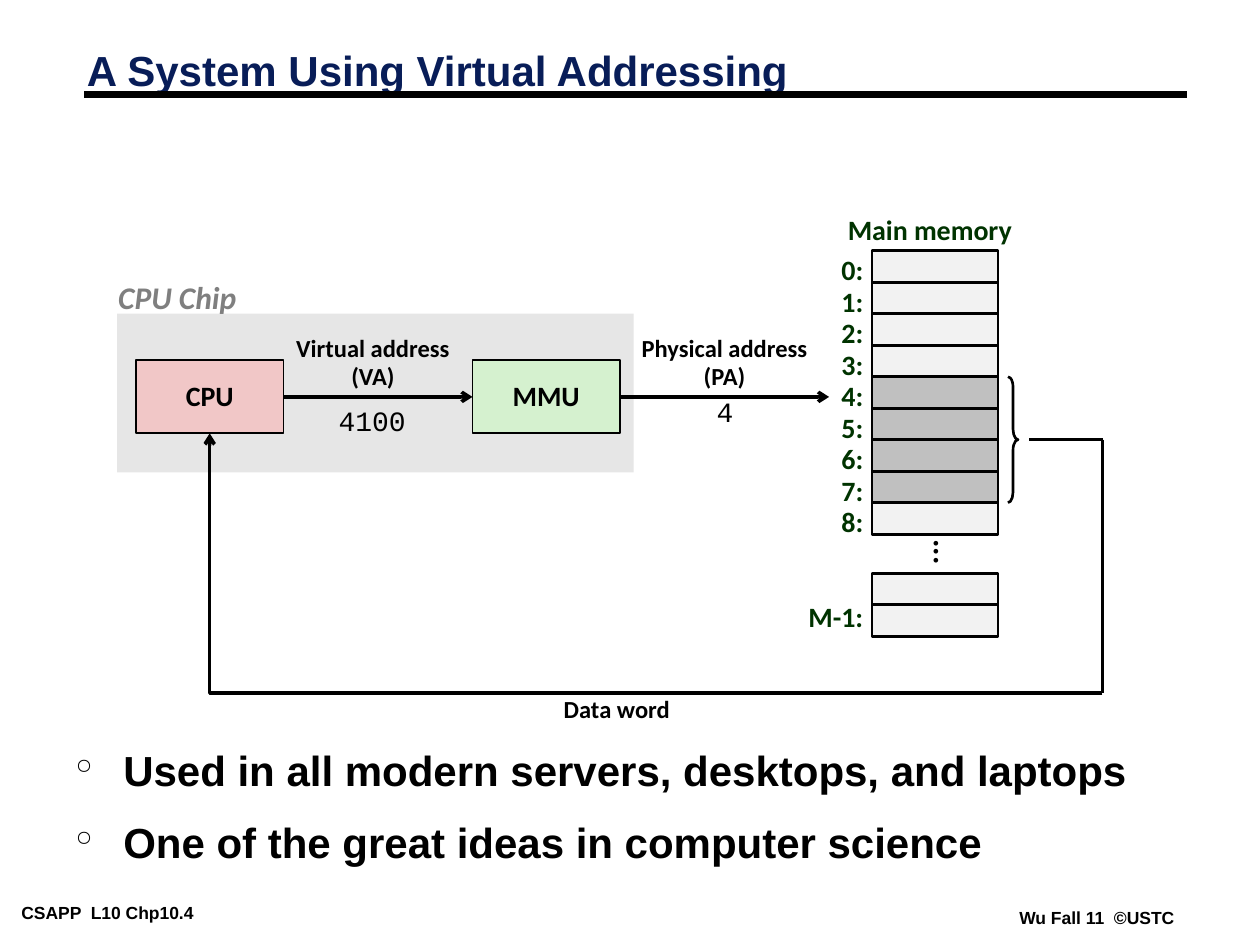
"""Build the slide on a system that uses virtual addressing."""
from lxml import etree
from pptx import Presentation
from pptx.dml.color import RGBColor
from pptx.enum.shapes import MSO_CONNECTOR as Conn, MSO_SHAPE as Shape
from pptx.enum.text import MSO_ANCHOR as Anchor, MSO_AUTO_SIZE as Auto, PP_ALIGN as Align
from pptx.oxml.ns import qn
from pptx.util import Inches, Pt

BLACK, GREEN, NAVY, GRAY = "000000", "003300", "081D58", "7F7F7F"
ROW, MEM_LEFT, MEM_TOP = 0.25, 6.92, 1.99
BOX_TOP, BOX_W, BOX_H = 2.86, 1.17, 0.58
BUS_X, BUS_Y = 8.75, 5.5


def color(hex_string):
    """Turn a hex string into a colour."""
    return RGBColor.from_string(hex_string)


def inches(*lengths):
    """Convert several lengths to inches."""
    return [Inches(length) for length in lengths]


def write(tf, text, size, hex_color=BLACK, font="Calibri", bold=True, italic=False,
          align=Align.LEFT, spacing=1.0):
    """Put text in a frame and format each run."""
    tf.text = text
    for p in tf.paragraphs:
        p.alignment = align
        p.line_spacing = spacing
        for r in p.runs:
            r.font.size, r.font.name = Pt(size), font
            r.font.bold, r.font.italic = bold, italic
            r.font.color.rgb = color(hex_color)


def add_label(s, at, text, size, anchor=Anchor.TOP, margins=(0.1, 0.05), **style):
    """Add a text box that fits its unwrapped text."""
    tf = s.shapes.add_textbox(*inches(*at)).text_frame
    write(tf, text, size, **style)
    tf.word_wrap, tf.auto_size, tf.vertical_anchor = False, Auto.SHAPE_TO_FIT_TEXT, anchor
    tf.margin_left = tf.margin_right = Inches(margins[0])
    tf.margin_top = tf.margin_bottom = Inches(margins[1])
    return tf


def add_box(s, at, fill=None, line=None, text=None, kind=Shape.RECTANGLE):
    """Add a flat shape, optionally outlined and captioned."""
    sp = s.shapes.add_shape(kind, *inches(*at))
    sp.shadow.inherit = False
    if fill:
        sp.fill.solid()
        sp.fill.fore_color.rgb = color(fill)
    else:
        sp.fill.background()
    if line:
        sp.line.color.rgb, sp.line.width = color(BLACK), Pt(line)
    else:
        sp.line.fill.background()
    if text:
        write(sp.text_frame, text, 16, align=Align.CENTER, spacing=0.98)
        sp.text_frame.vertical_anchor = Anchor.MIDDLE
        sp.text_frame.word_wrap = False
    return sp


def add_line(s, start, end, width=2, arrow=False, kind=Conn.STRAIGHT):
    """Add a black connector, optionally with an arrowhead at its end."""
    c = s.shapes.add_connector(kind, *inches(*start, *end))
    c.line.color.rgb, c.line.width = color(BLACK), Pt(width)
    if arrow:
        etree.SubElement(c.line._get_or_add_ln(), qn("a:tailEnd"), type="arrow")
    etree.SubElement(c._element.spPr, qn("a:effectLst"))
    return c


def add_title(s, text):
    """Place and format the title placeholder."""
    sp = s.shapes.title
    sp.left, sp.top, sp.width, sp.height = inches(0.59, 0.36, 9.53, 0.45)
    sp.text_frame.vertical_anchor = Anchor.MIDDLE
    write(sp.text_frame, text, 24, NAVY, "Arial", spacing=0.87)


def add_bullets(s, items):
    """Add the list of takeaways."""
    tf = s.shapes.add_textbox(*inches(0.5, 5.95, 9.09, 1.38)).text_frame
    tf.word_wrap = True
    write(tf, "\n".join(items), 24, font="Arial", spacing=0.75)
    for i, p in enumerate(tf.paragraphs):
        p.space_before = Pt(19.5 if i else 0)
        pPr = p._p.get_or_add_pPr()
        pPr.set("marL", str(Inches(0.38)))
        pPr.set("indent", str(-Inches(0.38)))
        bullet_color = etree.SubElement(pPr, qn("a:buClr"))
        etree.SubElement(bullet_color, qn("a:srgbClr"), val=BLACK)
        etree.SubElement(pPr, qn("a:buChar"), char="°")


def add_memory(s):
    """Draw the memory cells with their addresses and the word's brace."""
    address = dict(hex_color=GREEN, spacing=0.88)
    add_label(s, (6.63, 1.67, 1.5, 0.33), "Main memory", 16, align=Align.CENTER, **address)
    for i in range(9):
        top = MEM_TOP + i * ROW
        add_box(s, (MEM_LEFT, top, 1, ROW), "C0C0C0" if 4 <= i <= 7 else "F2F2F2", 1.5)
        add_label(s, (6.58, top, 0.37, 0.33), f"{i}:", 16, **address)
    for top in (4.55, 4.55 + ROW):
        add_box(s, (MEM_LEFT, top, 1, ROW), "F2F2F2", 1.5)
    add_label(s, (6.25, 4.74, 0.7, 0.33), "M-1:", 16, align=Align.RIGHT, **address)
    dots = add_label(s, (7, 4.18, 1, ROW), "...", 18, Anchor.MIDDLE, (0.05, 0.1),
                     align=Align.CENTER, spacing=0.98)
    dots.auto_size = Auto.NONE
    dots._txBody.bodyPr.set("vert", "eaVert")
    brace = add_box(s, (8, MEM_TOP + 4 * ROW, 0.08, 4 * ROW), line=1.5, kind=Shape.RIGHT_BRACE)
    brace.adjustments[0] = 1.04


def add_data_path(s):
    """Draw the chip, its units and the paths to and from memory."""
    cpu = add_box(s, (1.08, BOX_TOP, BOX_W, BOX_H), "F1C7C7", 1, "CPU")
    mmu = add_box(s, (3.75, BOX_TOP, BOX_W, BOX_H), "D5F1CF", 1, "MMU")
    middle = BOX_TOP + BOX_H / 2
    virtual = add_line(s, (2.25, middle), (3.75, middle), arrow=True)
    virtual.begin_connect(cpu, 3)
    virtual.end_connect(mmu, 1)
    physical = add_line(s, (4.92, middle), (6.58, middle), arrow=True)
    physical.begin_connect(mmu, 3)
    word_y = MEM_TOP + 6 * ROW
    add_line(s, (8.17, word_y), (BUS_X, word_y))
    add_line(s, (BUS_X, word_y), (BUS_X, BUS_Y))
    back = add_line(s, (BUS_X, BUS_Y), (1.67, BOX_TOP + BOX_H), arrow=True, kind=Conn.ELBOW)
    back._element.spPr.find(qn("a:prstGeom")).set("prst", "bentConnector2")
    back.end_connect(cpu, 2)


def add_path_labels(s):
    """Name the addresses and the data on the paths."""
    for at, text in (((2.25, 2.6, 1.42, 0.56), "Virtual address\n(VA)"),
                     ((4.99, 2.6, 1.52, 0.56), "Physical address\n(PA)"),
                     ((4.37, 5.47, 1.05, 0.33), "Data word")):
        add_label(s, at, text, 14, Anchor.MIDDLE, align=Align.CENTER, spacing=0.98)
    for at, value in (((2.59, 3.15, 0.73, 0.37), "4100"), ((5.59, 3.08, 0.33, 0.37), "4")):
        add_label(s, at, value, 16, font="Courier New", bold=False)
    add_label(s, (0.84, 2.16, 1.14, 0.4), "CPU Chip", 18, hex_color=GRAY, italic=True)


def main():
    """Build and save the slide."""
    prs = Presentation()
    prs.slide_width, prs.slide_height = inches(10, 7.5)
    s = prs.slides.add_slide(prs.slide_layouts[5])
    for at, text in (((0.1, 7.13, 2.1, 0.22), "CSAPP  L10 Chp10.4"),
                     ((8.02, 7.17, 1.38, 0.22), "Wu Fall 11  ©USTC")):
        add_label(s, at, text, 10, margins=(0.07, 0.03), font="Arial")
    add_line(s, (0.67, 0.75), (9.42, 0.75), width=4.5)
    add_box(s, (0.93, 2.49, 4.1, 1.26), "E6E6E6")
    add_title(s, "A System Using Virtual Addressing")
    add_bullets(s, ["Used in all modern servers, desktops, and laptops",
                    "One of the great ideas in computer science"])
    add_memory(s)
    add_data_path(s)
    add_path_labels(s)
    prs.save("out.pptx")


if __name__ == "__main__":
    main()
